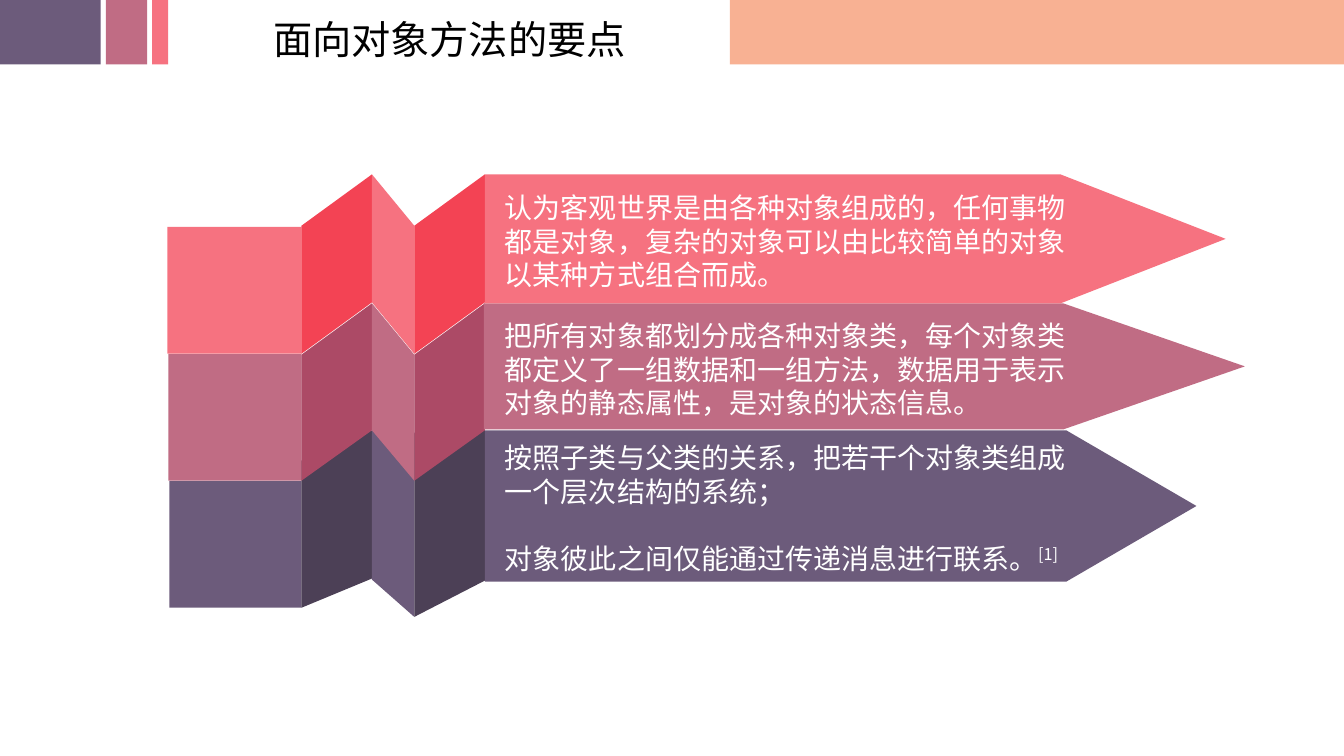
from dataclasses import dataclass
from lxml import etree
from pptx import Presentation
from pptx.dml.color import RGBColor
from pptx.enum.shapes import MSO_SHAPE
from pptx.enum.text import MSO_ANCHOR, PP_ALIGN
from pptx.oxml.ns import qn
from pptx.util import Inches, Pt

RECT, ARROW = MSO_SHAPE.RECTANGLE, MSO_SHAPE.PENTAGON
TOP, LEFT = MSO_ANCHOR.TOP, PP_ALIGN.LEFT
COLS, ROWS = 160, 90
TITLE_ONLY = 5


@dataclass(frozen=True)
class Theme:
    font: str = "Noto Sans CJK SC"
    title_size: int = 28
    body_size: int = 20
    leading: float = 1.2
    ink: str = "000000"
    paper: str = "FFFFFF"
    peach: str = "F8B193"
    purple: str = "6C5B7B"
    purple_dark: str = "4C4056"
    mauve: str = "C06C84"
    mauve_dark: str = "AC4A66"
    coral: str = "F67280"
    coral_dark: str = "F34354"


@dataclass(frozen=True)
class Box:
    x: float
    y: float
    w: float
    h: float


@dataclass(frozen=True)
class Band:
    x: float
    w: float
    color: str


@dataclass(frozen=True)
class Fold:
    ridge: float
    valley: float
    ridge_end: float
    valley_end: float


@dataclass(frozen=True)
class Ribbon:
    color: str
    shade: str
    tail: Box
    folds: tuple[Fold, Fold, Fold]
    arrow: Box
    point: float
    text: Box
    paragraphs: tuple[str, ...]
    citation: str = ""


T = Theme()
HEADER_H = 7.68
BANDS = (
    Band(86.88, 73.12, T.peach),
    Band(0, 12, T.purple),
    Band(12.6, 4.92, T.mauve),
    Band(18.12, 1.92, T.coral),
)
TITLE = "面向对象方法的要点"
TITLE_BOX = Box(31.32, 0.84, 44.4, 6.84)
FOLD_X = (35.88, 44.28, 49.32, 57.72)
TEXT_X, TEXT_W = 58.92, 70.56

RIBBONS = (
    Ribbon(
        T.purple, T.purple_dark, Box(20.16, 57.24, 15.72, 15.12),
        (Fold(51.24, 54.84, 68.88, 72.36), Fold(47.16, 51.48, 69, 73.44),
         Fold(47.16, 51.6, 69.12, 73.44)),
        Box(57.72, 51.24, 84.72, 18), 0.86, Box(TEXT_X, 51.6, TEXT_W, 17.4),
        ("按照子类与父类的关系，把若干个对象类组成一个层次结构的系统；",
         "对象彼此之间仅能通过传递消息进行联系。"), "[1]",
    ),
    Ribbon(
        T.mauve, T.mauve_dark, Box(20.04, 42.12, 15.84, 15.12),
        (Fold(36.12, 42.24, 51.24, 57.24),) * 3,
        Box(57.6, 36.12, 90.6, 15), 1.44, Box(TEXT_X, 37.08, TEXT_W, 13.32),
        ("把所有对象都划分成各种对象类，每个对象类都定义了一组数据和一组方法，"
         "数据用于表示对象的静态属性，是对象的状态信息。",),
    ),
    Ribbon(
        T.coral, T.coral_dark, Box(19.92, 27, 15.96, 15.12),
        (Fold(20.76, 26.88, 36, 42.12),) * 3,
        Box(57.72, 20.76, 88.2, 15.36), 1.28, Box(TEXT_X, 21.84, TEXT_W, 13.32),
        ("认为客观世界是由各种对象组成的，任何事物都是对象，"
         "复杂的对象可以由比较简单的对象以某种方式组合而成。",),
    ),
)

prs = Presentation()
prs.slide_width, prs.slide_height = Inches(13.33), Inches(7.5)


def gx(col: float) -> int:
    return round(prs.slide_width * col / COLS)


def gy(row: float) -> int:
    return round(prs.slide_height * row / ROWS)


def frame(box: Box) -> tuple[int, int, int, int]:
    return gx(box.x), gy(box.y), gx(box.w), gy(box.h)


def paint(sp, color: str):
    sp.shadow.inherit = False
    sp.fill.solid()
    sp.fill.fore_color.rgb = RGBColor.from_string(color)
    sp.line.fill.background()
    return sp


def add_block(s, kind, box: Box, color: str):
    return paint(s.shapes.add_shape(kind, *frame(box)), color)


def add_panel(s, left: float, right: float, fold: Fold, rising: bool, color: str) -> None:
    ridge_x, valley_x = (right, left) if rising else (left, right)
    corners = [(gx(x), gy(y)) for x, y in (
        (ridge_x, fold.ridge), (ridge_x, fold.ridge_end),
        (valley_x, fold.valley_end), (valley_x, fold.valley))]
    fb = s.shapes.build_freeform(*corners[0])
    fb.add_line_segments(corners[1:], close=True)
    paint(fb.convert_to_shape(), color)


def style_paragraph(p, size: int, color: str) -> None:
    p.alignment = LEFT
    p.line_spacing = Pt(size * T.leading)
    p.font.name, p.font.size, p.font.bold = T.font, Pt(size), False
    p.font.color.rgb = RGBColor.from_string(color)
    latin = p._p.pPr.find(f"{qn('a:defRPr')}/{qn('a:latin')}")
    ea = etree.Element(qn("a:ea"), typeface=T.font)
    latin.addnext(ea)


def add_title(s) -> None:
    sp = s.shapes.title
    sp.left, sp.top, sp.width, sp.height = frame(TITLE_BOX)
    tf = sp.text_frame
    tf.text = TITLE
    tf.word_wrap = False
    tf.vertical_anchor = TOP
    tf.margin_top = gy(0.96)
    style_paragraph(tf.paragraphs[0], T.title_size, T.ink)


def add_body(s, ribbon: Ribbon) -> None:
    tf = s.shapes.add_textbox(*frame(ribbon.text)).text_frame
    tf.word_wrap = True
    tf.margin_top = gy(0.84)
    for i, text in enumerate(ribbon.paragraphs):
        p = tf.add_paragraph() if i else tf.paragraphs[0]
        p.add_run().text = text
        if i:
            p.space_before = Pt(T.body_size * T.leading)
        style_paragraph(p, T.body_size, T.paper)
    if ribbon.citation:
        r = p.add_run()
        r.text = ribbon.citation
        r._r.get_or_add_rPr().set("baseline", "30000")


def add_ribbon(s, ribbon: Ribbon) -> None:
    add_block(s, RECT, ribbon.tail, ribbon.color)
    for i, fold in enumerate(ribbon.folds):
        rising = i % 2 == 0
        add_panel(s, FOLD_X[i], FOLD_X[i + 1], fold, rising,
                  ribbon.shade if rising else ribbon.color)
    arrow = add_block(s, ARROW, ribbon.arrow, ribbon.color)
    arrow.adjustments[0] = ribbon.point
    add_body(s, ribbon)


def main() -> None:
    s = prs.slides.add_slide(prs.slide_layouts[TITLE_ONLY])
    for band in BANDS:
        add_block(s, RECT, Box(band.x, 0, band.w, HEADER_H), band.color)
    add_title(s)
    for ribbon in RIBBONS:
        add_ribbon(s, ribbon)
    prs.save("out.pptx")


if __name__ == "__main__":
    main()
